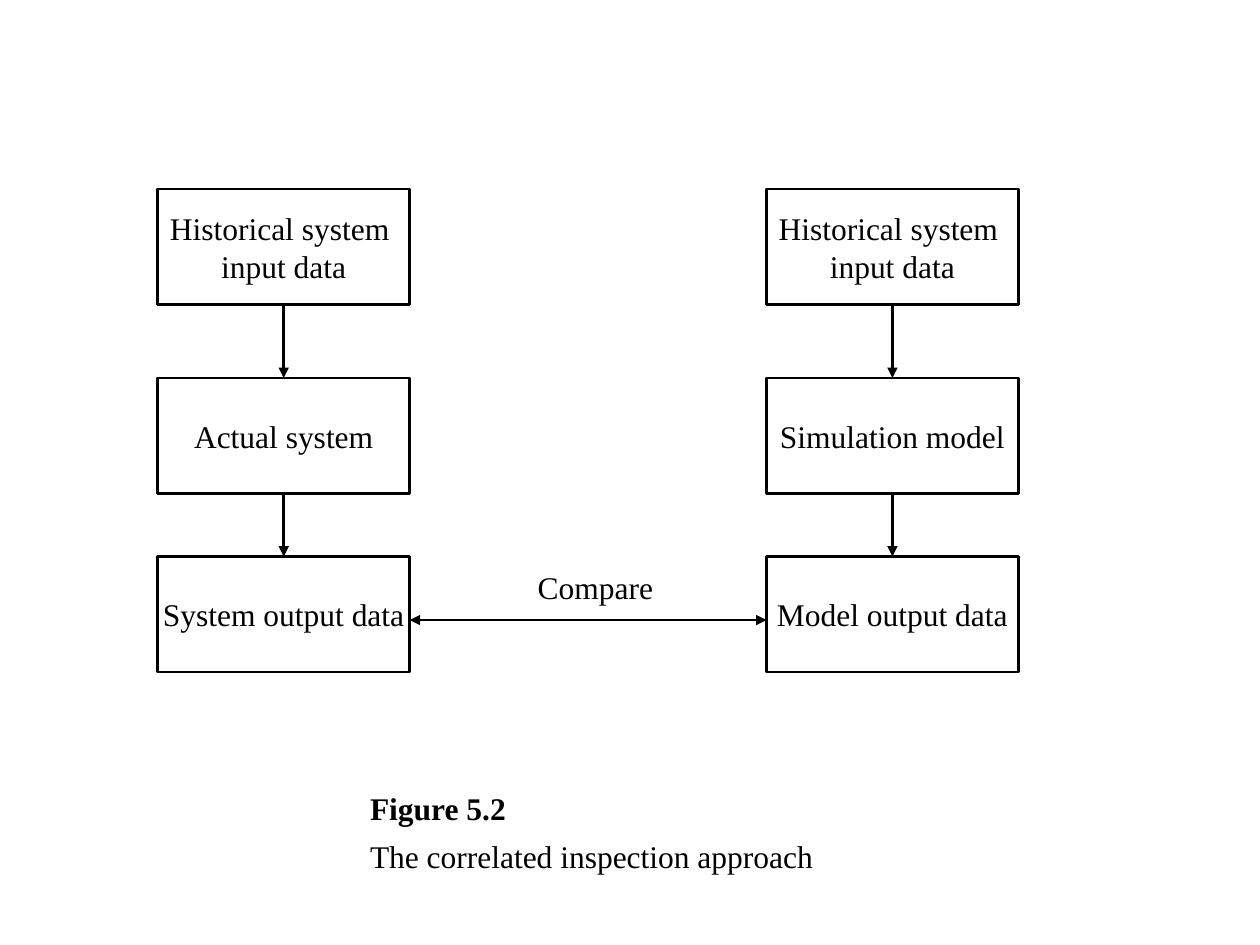
"""Draw the correlated inspection approach as two linked flows."""
from lxml import etree
from pptx import Presentation
from pptx.dml.color import RGBColor
from pptx.enum.shapes import MSO_CONNECTOR, MSO_SHAPE
from pptx.enum.text import MSO_ANCHOR, MSO_AUTO_SIZE, PP_ALIGN
from pptx.oxml.ns import qn
from pptx.util import Cm, Pt

RECT = MSO_SHAPE.RECTANGLE
LINE = MSO_CONNECTOR.STRAIGHT
MIDDLE = MSO_ANCHOR.MIDDLE
TOP = MSO_ANCHOR.TOP
FIT = MSO_AUTO_SIZE.SHAPE_TO_FIT_TEXT
LEFT = PP_ALIGN.LEFT
CENTER = PP_ALIGN.CENTER
BLACK = "000000"
WHITE = "FFFFFF"
FONT = "Times New Roman"
WIDTH, HEIGHT = 5.08, 2.33
ROWS = (3.81, 7.62, 11.22)
FLOWS = (
    (3.18, ("Historical system \ninput data", "Actual system", "System output data")),
    (15.45, ("Historical system \ninput data", "Simulation model", "Model output data")),
)


def color(code):
    """Turn a hex string into a colour."""
    return RGBColor.from_string(code)


def write(shape, text, align, anchor):
    """Set and format the text of a shape."""
    frame = shape.text_frame
    frame.text = text
    frame.word_wrap = False
    frame.vertical_anchor = anchor
    for para in frame.paragraphs:
        para.alignment = align
        for run in para.runs:
            run.font.name = FONT
            run.font.size = Pt(18)
            run.font.color.rgb = color(BLACK)


def add_box(slide, left, top, text):
    """Add one outlined step of a flow."""
    box = slide.shapes.add_shape(RECT, Cm(left), Cm(top), Cm(WIDTH), Cm(HEIGHT))
    box.shadow.inherit = False
    box.fill.solid()
    box.fill.fore_color.rgb = color(WHITE)
    box.line.color.rgb = color(BLACK)
    box.line.width = Pt(1.5)
    write(box, text, CENTER, MIDDLE)
    return box


def add_label(slide, left, top, width, height, text, anchor):
    """Add a text box that fits its text."""
    label = slide.shapes.add_textbox(Cm(left), Cm(top), Cm(width), Cm(height))
    write(label, text, LEFT, anchor)
    label.text_frame.auto_size = FIT
    return label


def add_arrow(slide, start, end, tips):
    """Add a straight line with the given arrow tips."""
    arrow = slide.shapes.add_connector(LINE, *start, *end)
    arrow.line.color.rgb = color(BLACK)
    arrow.line.width = Pt(1.5)
    outline = arrow.line._get_or_add_ln()
    for tip in tips:
        etree.SubElement(outline, qn(tip), type="triangle")
    etree.SubElement(arrow._element.spPr, qn("a:effectLst"))
    return arrow


def add_flow(slide, left, steps):
    """Add a column of boxes joined by downward arrows."""
    boxes = [add_box(slide, left, top, step) for top, step in zip(ROWS, steps)]
    for upper, lower in zip(boxes, boxes[1:]):
        arrow = add_arrow(slide, (0, 0), (0, 0), ["a:tailEnd"])
        arrow.begin_connect(upper, 2)
        arrow.end_connect(lower, 0)


def add_caption(slide):
    """Add the figure number and its title."""
    label = add_label(slide, 7.21, 15.75, 9.68, 2.03,
                      "Figure 5.2\nThe correlated inspection approach", MIDDLE)
    first, second = label.text_frame.paragraphs
    first.runs[0].font.bold = True
    second.space_before = Pt(6)


def main():
    """Build and save the slide."""
    deck = Presentation()
    deck.slide_width, deck.slide_height = Cm(25.4), Cm(19.05)
    slide = deck.slides.add_slide(deck.slide_layouts[6])
    add_caption(slide)
    for left, steps in FLOWS:
        add_flow(slide, left, steps)
    add_arrow(slide, (Cm(FLOWS[0][0] + WIDTH), Cm(12.5)),
              (Cm(FLOWS[1][0]), Cm(12.5)), ["a:headEnd", "a:tailEnd"])
    add_label(slide, 10.59, 11.33, 3, 1.02, "Compare", TOP)
    deck.save("out.pptx")


if __name__ == "__main__":
    main()
